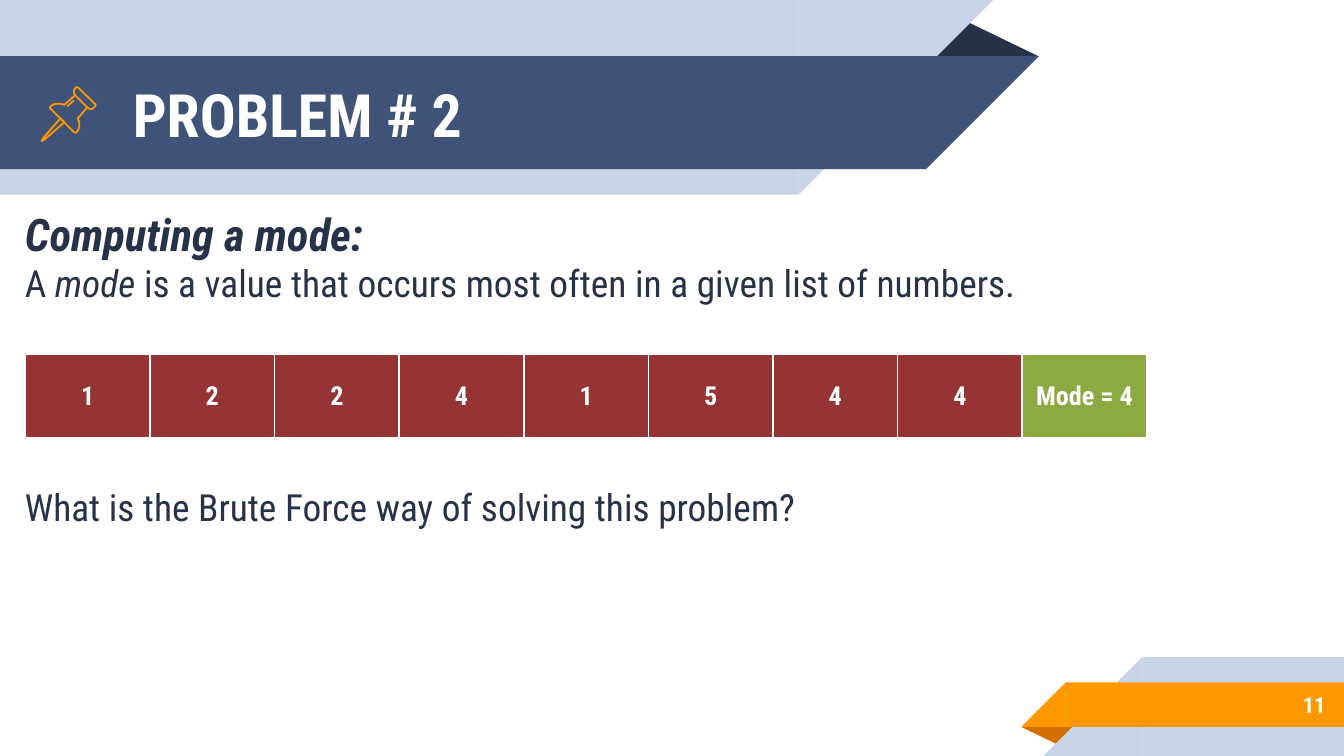
import pptx
import pptx.dml.color
import pptx.enum.shapes
import pptx.enum.text
import pptx.oxml
import pptx.oxml.ns
import pptx.util
from dataclasses import dataclass

Cm = pptx.util.Cm
Kind = pptx.enum.shapes.MSO_SHAPE
Align = pptx.enum.text.PP_ALIGN
Anchor = pptx.enum.text.MSO_ANCHOR


@dataclass(frozen=True)
class Theme:
    font: str = "Roboto Condensed"
    ink: str = "263248"
    navy: str = "3F5378"
    mist: str = "C7D3E6"
    orange: str = "FF9800"
    rust: str = "D26F00"
    red: str = "963334"
    green: str = "8BAB42"
    white: str = "FFFFFF"
    title: int = 32
    heading: int = 24
    body: int = 20
    cell: int = 14
    number: int = 12


theme = Theme()


def rgb(color):
    return pptx.dml.color.RGBColor.from_string(color)


def write(paragraph, text, size=theme.body, color=theme.ink, bold=False,
          italic=False, align=Align.LEFT, before=0):
    paragraph.alignment = align
    if before:
        paragraph.space_before = pptx.util.Pt(before)
    run = paragraph.add_run()
    run.text = text
    run.font.name = theme.font
    run.font.size = pptx.util.Pt(size)
    run.font.color.rgb = rgb(color)
    run.font.bold = bold
    run.font.italic = italic


deck = pptx.Presentation()
deck.slide_width, deck.slide_height = Cm(25.4), Cm(14.29)
slide = deck.slides.add_slide(deck.slide_layouts[6])
shapes = slide.shapes

ribbons = [
    (Kind.ISOSCELES_TRIANGLE, 17.48, 0.36, 2.16, 0.71, 0, theme.ink),
    (Kind.RECTANGLE, 0, 0, 15.09, 3.68, 0, theme.mist),
    (Kind.RIGHT_TRIANGLE, 15.09, 0, 3.68, 3.68, 90, theme.mist),
    (Kind.RECTANGLE, 0, 1.06, 17.5, 2.14, 0, theme.navy),
    (Kind.RIGHT_TRIANGLE, 17.5, 1.06, 2.14, 2.14, 90, theme.navy),
    (Kind.ISOSCELES_TRIANGLE, 19.3, 13.74, 1.09, 0.36, 180, theme.rust),
    (Kind.RECTANGLE, 21.59, 12.42, 3.81, 1.87, 0, theme.mist),
    (Kind.RIGHT_TRIANGLE, 19.72, 12.42, 1.87, 1.87, 270, theme.mist),
    (Kind.RECTANGLE, 20.14, 12.9, 5.26, 0.84, 0, theme.orange),
    (Kind.RIGHT_TRIANGLE, 19.3, 12.9, 0.84, 0.84, 270, theme.orange),
]
for kind, left, top, width, height, turn, color in ribbons:
    ribbon = shapes.add_shape(kind, Cm(left), Cm(top), Cm(width), Cm(height))
    ribbon.rotation = turn
    ribbon.shadow.inherit = False
    ribbon.fill.solid()
    ribbon.fill.fore_color.rgb = rgb(color)
    ribbon.line.fill.background()
    if kind == Kind.ISOSCELES_TRIANGLE:
        ribbon.adjustments[0] = 0.32

frames = []
for left, top, width, height, anchor in [
    (2.26, 1.09, 15.27, 2.13, Anchor.MIDDLE),
    (0, 3.66, 25.4, 10.11, Anchor.TOP),
    (21.16, 12.88, 4.14, 0.89, Anchor.MIDDLE),
]:
    frame = shapes.add_textbox(Cm(left), Cm(top), Cm(width), Cm(height)).text_frame
    frame.word_wrap = True
    frame.vertical_anchor = anchor
    frame.margin_left = frame.margin_right = Cm(0.25)
    frame.margin_top = frame.margin_bottom = Cm(0.25)
    frames.append(frame)
title, body, page_number = frames

write(title.paragraphs[0], "PROBLEM # 2", size=theme.title, color=theme.white, bold=True)
write(page_number.paragraphs[0], "11", size=theme.number, color=theme.white,
      bold=True, align=Align.RIGHT)

body.margin_left = Cm(0.47)
write(body.paragraphs[0], "Computing a mode:", size=theme.heading, bold=True, italic=True)
definition = body.add_paragraph()
write(definition, "A ")
write(definition, "mode ", italic=True)
write(definition, "is a value that occurs most often in a given list of numbers.")
write(body.add_paragraph(), "What is the Brute Force way of solving this problem?", before=96)

needle = [(114, 224), (81, 262), (79, 267), (84, 264), (122, 231)]
cap = [(142, 180), (165, 203), (170, 206), (175, 206), (180, 201), (181, 198),
       (147, 165), (144, 165), (140, 170), (140, 175)]
grip = [(142, 180), (122, 198), (112, 196), (102, 197), (97, 200), (94, 203),
        (96, 206), (140, 250), (143, 251), (146, 249), (150, 241), (150, 231),
        (147, 224), (165, 203)]
glint = [(127, 201), (140, 190)]
for points, closed in [(needle, True), (cap, True), (grip, False), (glint, False)]:
    builder = shapes.build_freeform(*points[0], scale=Cm(0.01))
    builder.add_line_segments(points[1:], close=closed)
    pin = builder.convert_to_shape()
    pin.shadow.inherit = False
    pin.fill.background()
    pin.line.color.rgb = rgb(theme.orange)
    pin.line.width = pptx.util.Pt(0.96)

values = ["1", "2", "2", "4", "1", "5", "4", "4", "Mode = 4"]
number_list = shapes.add_table(1, len(values), Cm(0.48), Cm(6.7), Cm(21.2), Cm(1.6)).table
number_list.first_row = number_list.horz_banding = False
for column, value in enumerate(values):
    number_list.columns[column].width = Cm(21.2 / len(values))
    cell = number_list.cell(0, column)
    cell.vertical_anchor = Anchor.MIDDLE
    cell.margin_left = cell.margin_right = Cm(0.1)
    write(cell.text_frame.paragraphs[0], value, size=theme.cell, color=theme.white,
          bold=True, align=Align.CENTER)
    for side, points in [("L", 1), ("R", 1), ("T", 1), ("B", 3)]:
        cell._tc.get_or_add_tcPr().append(pptx.oxml.parse_xml(
            f'<a:ln{side} {pptx.oxml.ns.nsdecls("a")} w="{pptx.util.Pt(points)}">'
            f'<a:solidFill><a:srgbClr val="{theme.white}"/></a:solidFill></a:ln{side}>'))
    cell.fill.solid()
    cell.fill.fore_color.rgb = rgb(theme.green if "Mode" in value else theme.red)

deck.save("out.pptx")
